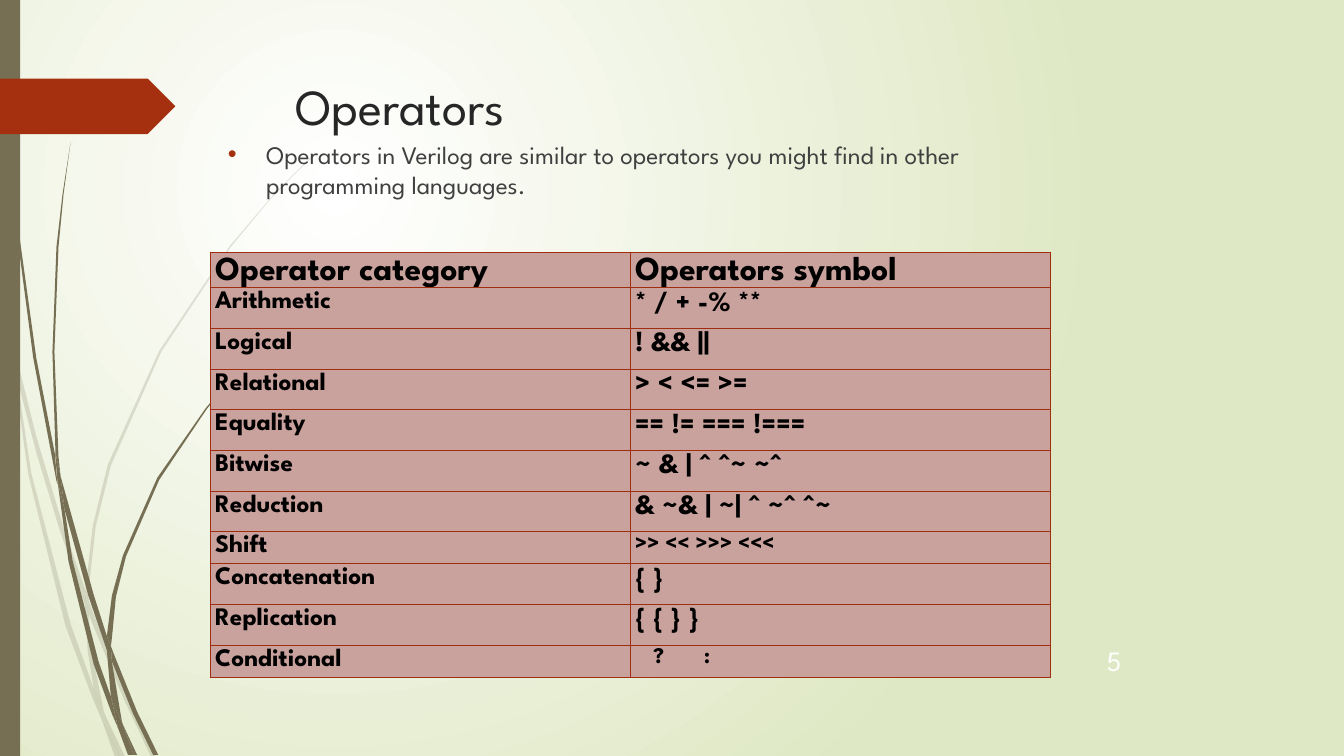
from lxml import etree
from pptx import Presentation
from pptx.dml.color import RGBColor
from pptx.enum import shapes, text
from pptx.oxml import ns
from pptx.util import Inches, Pt

FONT = "League Spartan"
WHITE = RGBColor(0xFF, 0xFF, 0xFF)
PALE_GREEN = RGBColor(0xDF, 0xE8, 0xC4)
OLIVE = RGBColor(0x76, 0x6F, 0x54)
RUST = RGBColor(0xA5, 0x30, 0x10)
GRID_RED = RGBColor(0x9E, 0x2E, 0x0F)
CELL_PINK = RGBColor(0xC9, 0xA2, 0x9E)
TITLE_GREY = RGBColor(0x26, 0x26, 0x26)
BODY_GREY = RGBColor(0x40, 0x40, 0x40)
BLACK = RGBColor(0, 0, 0)

TITLE = "Operators"
INTRO = ("Operators in Verilog are similar to operators you might find in "
         "other programming languages.")
PAGE_NUMBER = "5"

TALL, LOW = Pt(29.1), Pt(22.8)
# category, symbols, category size, symbol size, row height
OPERATORS = [
    ("Operator category", "Operators symbol", 24, 24, LOW),
    ("Arithmetic", "* / + -% **", 18, 20, TALL),
    ("Logical", "! && ||", 18, 20, TALL),
    ("Relational", "> < <= >=", 18, 20, TALL),
    ("Equality", "== != === !===", 18, 20, TALL),
    ("Bitwise", "~ & | ^ ^~ ~^", 18, 20, TALL),
    ("Reduction", "& ~& | ~| ^ ~^ ^~", 18, 20, TALL),
    ("Shift", ">> << >>> <<<", 18, 16, LOW),
    ("Concatenation", "{ }", 18, 20, TALL),
    ("Replication", "{ { } }", 18, 20, TALL),
    ("Conditional", "?\t:", 18, 16, LOW),
]

# Corner points (x, y) in inches of each segment of the grass blades
FAINT_GRASS = [
    [(0.11, 3.5), (0.09, 3.22), (0, 2.82), (0, 2.99), (0.1, 3.44)],
    [(0.58, 5.22), (0.84, 5.99), (0.85, 5.86), (0.62, 5.2), (0.36, 4.33), (0.14, 3.45),
     (0.17, 3.76), (0.36, 4.49)],
    [(0.92, 6.07), (0.88, 5.96), (0.88, 6.1), (1.23, 6.94), (1.5, 7.51), (1.55, 7.51),
     (1.27, 6.92)],
    [(1.19, 7.51), (1.24, 7.51), (1.05, 7.11)],
    [(0.93, 6.83), (0.7, 6.19), (0.31, 4.69), (0.17, 3.76), (0.11, 3.5), (0.28, 4.7),
     (0.65, 6.21), (0.92, 6.93), (1.01, 7.14), (0.99, 7.07)],
    [(0.84, 5.99), (0.87, 6.46), (0.93, 6.83), (0.96, 6.92), (1.05, 7.11), (1.03, 7.06),
     (0.91, 6.46), (0.88, 6.1), (0.88, 6.08)],
    [(0.88, 5.84), (0.95, 5.22), (1.1, 4.62), (1.6, 3.49), (2.29, 2.45), (2.68, 1.98),
     (2.9, 1.75), (3.12, 1.54), (3.12, 1.53), (2.89, 1.75), (2.68, 1.97), (2.28, 2.44),
     (1.58, 3.48), (1.07, 4.61), (0.92, 5.22), (0.85, 5.84), (0.85, 5.86), (0.88, 5.96)],
    [(1.01, 7.14), (1.14, 7.51), (1.19, 7.51)],
    [(0.88, 6.08), (0.88, 6.1), (0.88, 5.96), (0.85, 5.86), (0.84, 5.99)],
    [(0.96, 6.92), (0.93, 6.83), (0.99, 7.07), (1.01, 7.14), (1.19, 7.51), (1.05, 7.11)],
]
SOLID_GRASS = [
    [(0.07, 1.1), (0.17, 2.33), (0.33, 3.55), (0.56, 4.77), (0.57, 4.81), (0.55, 4.57),
     (0.55, 4.53), (0.36, 3.55), (0.19, 2.32), (0.08, 1.09), (0.05, 0.48), (0.04, 0),
     (0.03, 0), (0.04, 0.48)],
    [(0.88, 5.92), (1.06, 6.45), (1.06, 6.33), (1.06, 6.31), (0.93, 5.9), (0.6, 4.72),
     (0.64, 5.05)],
    [(1.13, 6.49), (1.1, 6.41), (1.11, 6.56), (1.32, 7.08), (1.52, 7.49), (1.57, 7.49),
     (1.36, 7.06)],
    [(1.1, 6.91), (0.98, 6.57), (0.72, 5.56), (0.64, 5.05), (0.57, 4.77), (0.68, 5.57),
     (0.93, 6.59), (1.11, 7.08), (1.17, 7.22), (1.16, 7.17)],
    [(0.6, 4.72), (0.58, 4.53), (0.54, 3.49), (0.58, 2.45), (0.63, 1.93), (0.7, 1.41),
     (0.62, 1.93), (0.56, 2.45), (0.52, 3.49), (0.55, 4.49)],
    [(1.33, 7.49), (1.36, 7.49), (1.22, 7.19)],
    [(0.57, 4.77), (0.64, 5.05), (0.6, 4.72), (0.55, 4.49), (0.55, 4.53)],
    [(1.11, 6.33), (1.15, 5.92), (1.25, 5.52), (1.58, 4.76), (2.05, 4.06), (2.31, 3.74),
     (2.45, 3.59), (2.61, 3.44), (2.6, 3.44), (2.45, 3.58), (2.31, 3.73), (2.04, 4.05),
     (1.56, 4.74), (1.22, 5.51), (1.11, 5.91), (1.06, 6.31), (1.1, 6.41)],
    [(1.17, 7.22), (1.27, 7.49), (1.31, 7.49)],
    [(1.06, 6.45), (1.1, 6.91), (1.16, 7.06), (1.22, 7.19), (1.21, 7.16), (1.11, 6.56),
     (1.09, 6.51)],
    [(1.06, 6.45), (1.09, 6.51), (1.11, 6.56), (1.1, 6.41), (1.06, 6.31), (1.06, 6.33)],
    [(1.16, 7.06), (1.1, 6.91), (1.16, 7.17), (1.17, 7.22), (1.3, 7.49), (1.33, 7.49),
     (1.22, 7.19)],
]


def add_xml(parent, tag, **attributes):
    return etree.SubElement(parent, ns.qn(tag), attributes)


def paint(shape, color):
    shape.shadow.inherit = False
    shape.fill.solid()
    shape.fill.fore_color.rgb = color
    shape.line.fill.background()


def add_grass(slide, segments, opacity):
    for corners in segments:
        outline = [(Inches(x), Inches(y)) for x, y in corners]
        builder = slide.shapes.build_freeform(*outline[0])
        builder.add_line_segments(outline[1:], close=True)
        segment = builder.convert_to_shape()
        paint(segment, OLIVE)
        if opacity < 100:
            color = segment.element.spPr.find(".//" + ns.qn("a:srgbClr"))
            add_xml(color, "a:alpha", val=str(opacity * 1000))


def set_font(paragraph, size, color, bold=False):
    for run in paragraph.runs:
        run.font.name, run.font.size = FONT, Pt(size)
        run.font.color.rgb, run.font.bold = color, bold


def place(shape, left, top, width, height):
    shape.left, shape.top = Inches(left), Inches(top)
    shape.width, shape.height = Inches(width), Inches(height)


def bring_to_front(shape):
    shape.element.getparent().append(shape.element)


def add_background(slide):
    fill = slide.background.fill
    fill.gradient()
    for stop, color in zip(fill.gradient_stops, (WHITE, PALE_GREEN)):
        stop.color.rgb = color
    gradient = slide.element.find(".//" + ns.qn("a:gradFill"))
    gradient.remove(gradient.find(ns.qn("a:lin")))
    circle = add_xml(gradient, "a:path", path="circle")
    add_xml(circle, "a:fillToRect", l="50000", t="50000", r="100000", b="100000")


def add_decoration(slide):
    add_grass(slide, FAINT_GRASS, 20)
    add_grass(slide, SOLID_GRASS, 100)
    for preset, box, color in (
            (shapes.MSO_SHAPE.RECTANGLE, (0, 0, 0.2, 7.5), OLIVE),
            (shapes.MSO_SHAPE.PENTAGON, (0, 0.78, 1.74, 0.55), RUST)):
        paint(slide.shapes.add_shape(preset, *map(Inches, box)), color)


def add_heading(slide):
    title, intro = slide.shapes.title, slide.placeholders[1]
    place(title, 2.83, 0.69, 9.75, 1.4)
    place(intro, 2.16, 1.33, 8.17, 5.75)
    for holder, words, size, color in ((title, TITLE, 36, TITLE_GREY),
                                       (intro, INTRO, 18, BODY_GREY)):
        frame = holder.text_frame
        frame.text = words
        frame.word_wrap = True
        frame.auto_size = text.MSO_AUTO_SIZE.NONE
        frame.vertical_anchor = text.MSO_ANCHOR.TOP
        paragraph = frame.paragraphs[0]
        paragraph.alignment = text.PP_ALIGN.LEFT
        paragraph.space_before = Pt(0)
        set_font(paragraph, size, color)
        bring_to_front(holder)
    bullet = intro.text_frame.paragraphs[0]._p.get_or_add_pPr()
    bullet.set("marL", str(Inches(0.38)))
    bullet.set("indent", str(-Inches(0.38)))
    add_xml(add_xml(bullet, "a:buClr"), "a:srgbClr", val=str(RUST))
    add_xml(bullet, "a:buFont", typeface="Arial")
    add_xml(bullet, "a:buChar", char="•")


def format_cell(cell, words, size):
    cell.text = words
    cell.margin_left = cell.margin_right = Inches(0.05)
    cell.margin_top = cell.margin_bottom = 0
    paragraph = cell.text_frame.paragraphs[0]
    paragraph.line_spacing = 1.15
    if "\t" in words:
        properties = paragraph._p.get_or_add_pPr()
        properties.set("marL", str(Inches(0.18)))
        properties.set("indent", "0")
        add_xml(add_xml(properties, "a:tabLst"), "a:tab",
                pos=str(Inches(0.35)), algn="l")
    set_font(paragraph, size, BLACK, bold=True)
    borders = cell._tc.get_or_add_tcPr()
    for side in ("a:lnL", "a:lnR", "a:lnT", "a:lnB"):
        line = add_xml(borders, side, w=str(Pt(0.75)))
        add_xml(add_xml(line, "a:solidFill"), "a:srgbClr", val=str(GRID_RED))
    cell.fill.solid()
    cell.fill.fore_color.rgb = CELL_PINK


def add_operator_table(slide):
    table = slide.shapes.add_table(len(OPERATORS), 2, Pt(150), Pt(180), Pt(600),
                                   sum(row[-1] for row in OPERATORS)).table
    table.first_row = table.horz_banding = False
    for row, (category, symbols, name_size, symbol_size, height) in enumerate(OPERATORS):
        table.rows[row].height = height
        format_cell(table.cell(row, 0), category, name_size)
        format_cell(table.cell(row, 1), symbols, symbol_size)


def add_page_number(slide):
    box = slide.shapes.add_textbox(*map(Inches, (10.45, 6.35, 0.77, 0.4)))
    box.text_frame.text = PAGE_NUMBER
    box.text_frame.word_wrap = True
    box.text_frame.vertical_anchor = text.MSO_ANCHOR.MIDDLE
    paragraph = box.text_frame.paragraphs[0]
    paragraph.alignment = text.PP_ALIGN.RIGHT
    set_font(paragraph, 20, WHITE)


def main():
    deck = Presentation()
    deck.slide_width, deck.slide_height = Inches(13.33), Inches(7.5)
    slide = deck.slides.add_slide(deck.slide_layouts[1])
    add_background(slide)
    add_decoration(slide)
    add_heading(slide)
    add_operator_table(slide)
    add_page_number(slide)
    deck.save("out.pptx")


if __name__ == "__main__":
    main()
